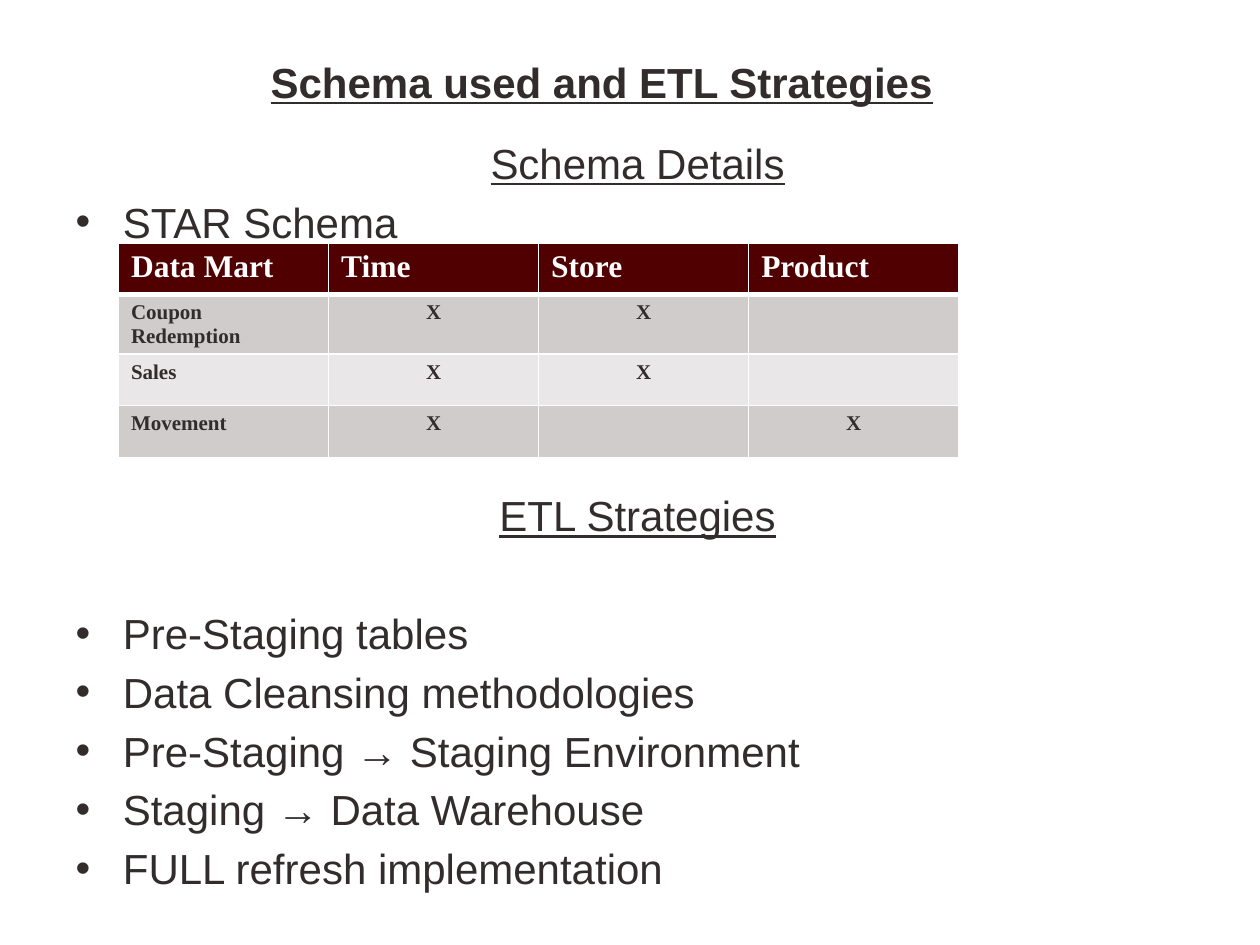
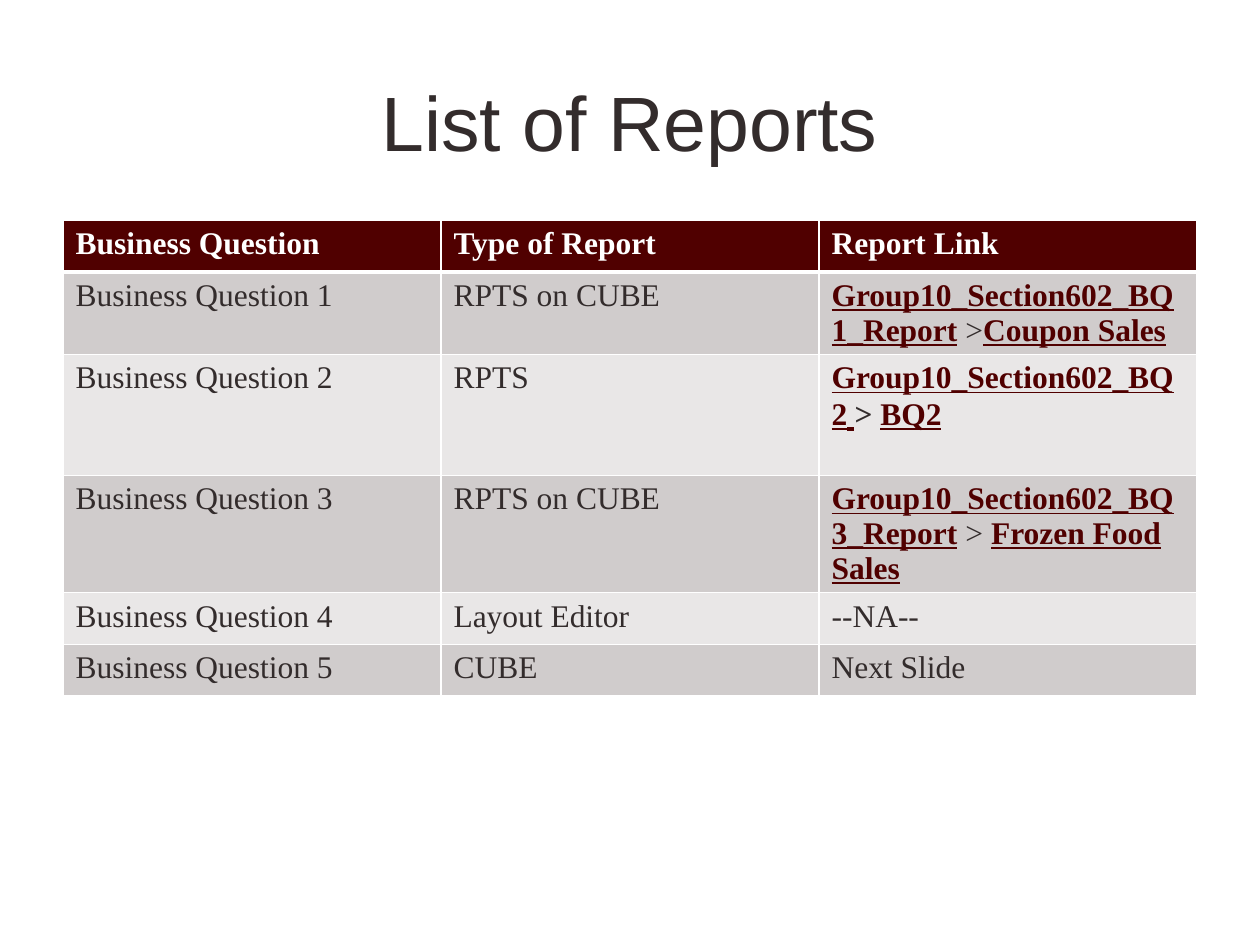
from pptx import Presentation
from pptx.dml.color import RGBColor
from pptx.enum.text import MSO_ANCHOR, MSO_AUTO_SIZE, PP_ALIGN
from pptx.oxml import parse_xml
from pptx.oxml.ns import nsdecls
from pptx.util import Inches, Pt

INK, MAROON, WHITE = "332C2C", "500000", "FFFFFF"
BANDS = ("D0CCCC", "E9E7E7")
SANS, SERIF = "Arial", "Times New Roman"
ROW = 0.41
GAP = 4.8
LINK = dict(color=MAROON, bold=True, underline=True)

SCHEMA_TITLE = "Schema used and ETL Strategies"
# (text, is heading, points of space before)
SCHEMA_BODY = [
    ("Schema Details", True, 3),
    ("STAR Schema", False, GAP),
    ("ETL Strategies", True, 139),
    ("Pre-Staging tables", False, 38.4),
    ("Data Cleansing methodologies", False, GAP),
    ("Pre-Staging → Staging Environment", False, GAP),
    ("Staging → Data Warehouse", False, GAP),
    ("FULL refresh implementation", False, GAP),
]
DATA_MARTS = [
    ("Data Mart", "Time", "Store", "Product"),
    ("Coupon Redemption", "X", "X", ""),
    ("Sales", "X", "X", ""),
    ("Movement", "X", "", "X"),
]
MART_ROWS = [ROW, 0.47, ROW, ROW]

REPORTS_TITLE = "List of Reports"
# A cell is a string, or a list of (text, format) runs
REPORTS = [
    ("Business Question", "Type of Report", "Report Link"),
    ("Business Question 1", "RPTS on CUBE",
     [("Group10_Section602_BQ1_Report", LINK), (" >", {}), ("Coupon Sales", LINK)]),
    ("Business Question 2", "RPTS",
     [("Group10_Section602_BQ2", LINK),
      (" ", dict(LINK, font="Calibri", bold=False)),
      ("> ", dict(bold=True)), ("BQ2", LINK)]),
    ("Business Question 3", "RPTS on CUBE",
     [("Group10_Section602_BQ3_Report", LINK), (" > ", {}), ("Frozen Food Sales", LINK)]),
    ("Business Question 4", "Layout Editor", "--NA--"),
    ("Business Question 5", "CUBE", "Next Slide"),
]
REPORT_ROWS = [ROW, 0.65, 0.96, 0.93, ROW, ROW]


def rgb(hex_color):
    return RGBColor.from_string(hex_color)


def write(paragraph, text, font=SANS, size=24, color=INK, bold=False,
          underline=False, align=None):
    if align is not None:
        paragraph.alignment = align
    run = paragraph.add_run()
    run.text = text
    run.font.name, run.font.size = font, Pt(size)
    run.font.bold, run.font.underline = bold, underline
    run.font.color.rgb = rgb(color)


def place(placeholder, left, top, width, height):
    placeholder.left, placeholder.top = Inches(left), Inches(top)
    placeholder.width, placeholder.height = Inches(width), Inches(height)
    placeholder.text_frame.auto_size = MSO_AUTO_SIZE.NONE
    return placeholder.text_frame


def add_title(slide, text, box, **style):
    frame = place(slide.shapes.title, *box)
    frame.vertical_anchor = MSO_ANCHOR.MIDDLE
    write(frame.paragraphs[0], text, align=PP_ALIGN.CENTER, **style)


def add_body(slide, items, box):
    frame = place(slide.placeholders[1], *box)
    for i, (text, heading, space) in enumerate(items):
        paragraph = frame.add_paragraph() if i else frame.paragraphs[0]
        paragraph.space_before = Pt(space)
        write(paragraph, text, underline=heading,
              align=PP_ALIGN.CENTER if heading else PP_ALIGN.LEFT)
        if heading:
            props = paragraph._p.get_or_add_pPr()
            props.set("marL", str(Inches(0.12)))
            props.set("indent", "0")
            props.append(parse_xml(f"<a:buNone {nsdecls('a')}/>"))


def add_borders(cell, top=1, bottom=1):
    """White edges, widths in points; call before setting the fill."""
    props = cell._tc.get_or_add_tcPr()
    for side, width in (("L", 1), ("R", 1), ("T", top), ("B", bottom)):
        props.append(parse_xml(
            f'<a:ln{side} {nsdecls("a")} w="{Pt(width)}"><a:solidFill>'
            f'<a:srgbClr val="{WHITE}"/></a:solidFill></a:ln{side}>'))


def add_grid(slide, rows, heights, left, top, width, center_marks=False, **style):
    columns = len(rows[0])
    table = slide.shapes.add_table(
        len(rows), columns, Inches(left), Inches(top),
        Inches(width), Inches(sum(heights))).table
    for column in table.columns:
        column.width = Inches(width / columns)
    for r, (values, height) in enumerate(zip(rows, heights)):
        table.rows[r].height = Inches(height)
        row_style = dict(size=18, color=WHITE, bold=True) if r == 0 else style
        for c, value in enumerate(values):
            cell = table.cell(r, c)
            add_borders(cell, top=3 if r == 1 else 1, bottom=3 if r == 0 else 1)
            cell.fill.solid()
            cell.fill.fore_color.rgb = rgb(BANDS[(r - 1) % 2] if r else MAROON)
            align = PP_ALIGN.CENTER if center_marks and r and c else PP_ALIGN.LEFT
            runs = [(value, {})] if isinstance(value, str) else value
            for text, extra in runs:
                if text:
                    write(cell.text_frame.paragraphs[0], text,
                          **{"font": SERIF, "align": align, **row_style, **extra})


def main():
    deck = Presentation()
    deck.slide_width, deck.slide_height = Inches(10), Inches(7.5)
    title_and_body, title_only = deck.slide_layouts[1], deck.slide_layouts[5]

    schema = deck.slides.add_slide(title_and_body)
    add_title(schema, SCHEMA_TITLE, (1.44, 0.35, 6.67, 0.6), bold=True, underline=True)
    add_body(schema, SCHEMA_BODY, (0.5, 1.04, 9, 5.89))
    add_grid(schema, DATA_MARTS, MART_ROWS, 0.94, 1.93, 6.67,
             center_marks=True, size=12, bold=True)

    reports = deck.slides.add_slide(title_only)
    add_title(reports, REPORTS_TITLE, (0.5, 0.36, 9, 1.19), size=44)
    add_grid(reports, REPORTS, REPORT_ROWS, 0.5, 1.75, 9, size=18)

    deck.save("out.pptx")


if __name__ == "__main__":
    main()
